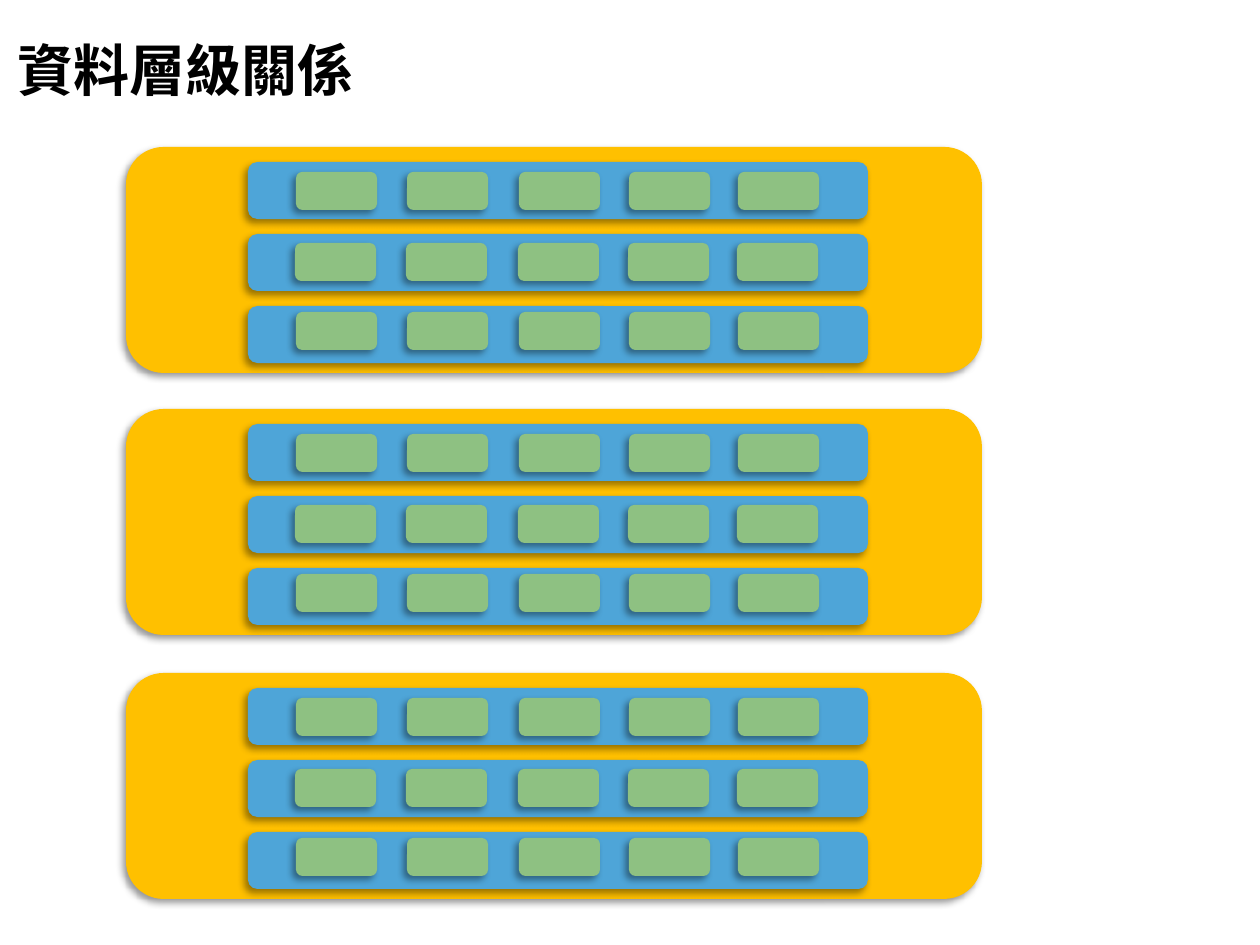
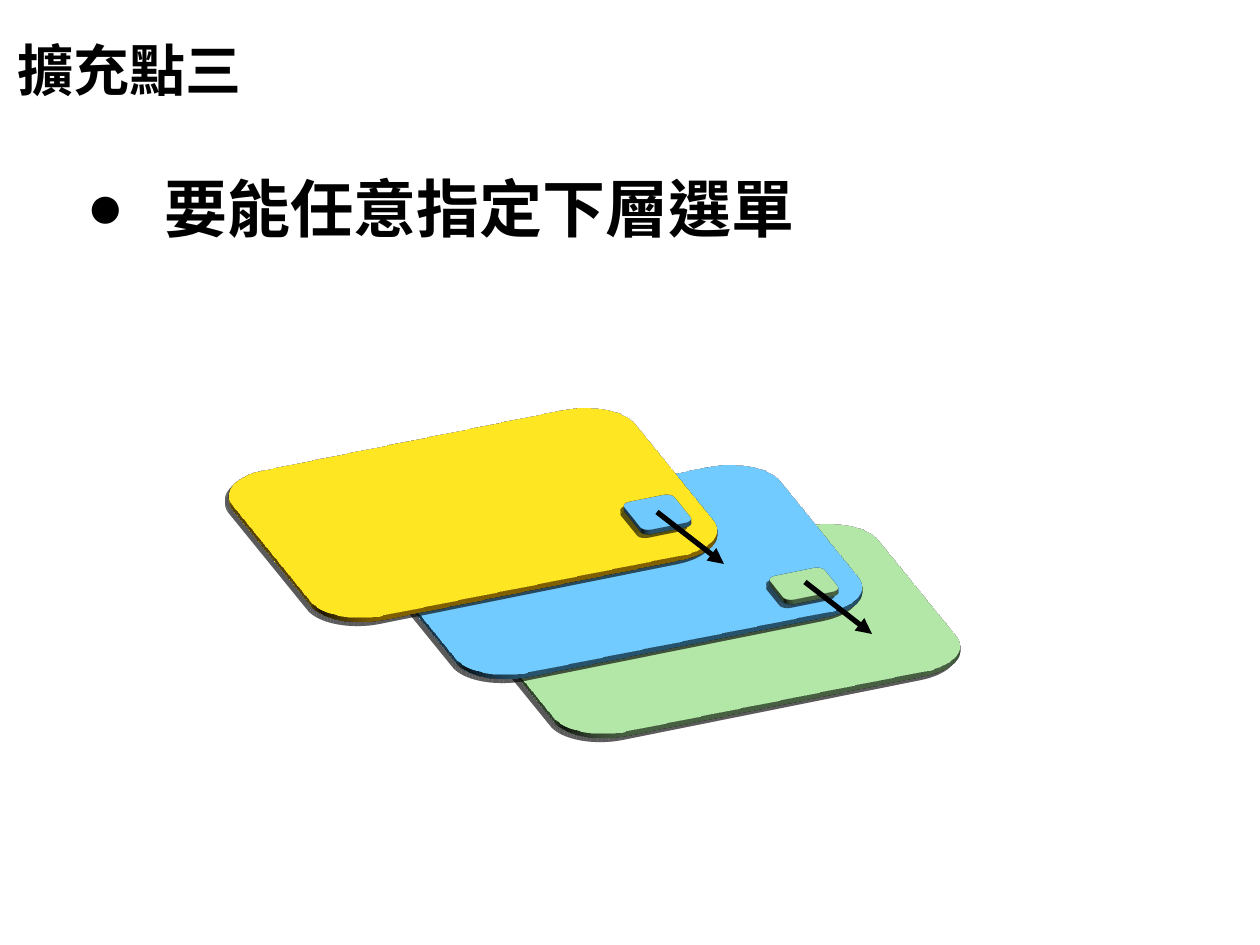
from lxml import etree
from pptx import Presentation
from pptx import util as u
from pptx.dml.color import RGBColor
from pptx.enum import shapes, text
from pptx.oxml.ns import qn

PX = 914400 / 126  # EMU in one px
FONT = "Noto Sans CJK SC"
COLORS = {"text": "000000", "yellow": "FFC000", "blue": "4EA5D8", "green": "8EC182"}


def add_text(slide, box, words, size, anchor, bullet=None):
    frame = slide.shapes.add_textbox(*[u.Emu(round(v * PX)) for v in box]).text_frame
    frame.word_wrap = True
    frame.vertical_anchor = anchor
    paragraph = frame.paragraphs[0]
    paragraph.text = words
    paragraph.line_spacing = 1.5
    font = paragraph.font
    font.name, font.size, font.bold = FONT, u.Pt(size), True
    font.color.rgb = RGBColor.from_string(COLORS["text"])
    properties = paragraph._p.get_or_add_pPr()
    defaults = properties.find(qn("a:defRPr"))
    etree.SubElement(defaults, qn("a:ea"), typeface=FONT)
    paragraph.runs[0]._r.get_or_add_rPr().set("lang", "zh-TW")
    if bullet:
        indent = round(78 * PX)
        properties.set("marL", str(indent))
        properties.set("indent", str(-indent))
        defaults.addprevious(etree.Element(qn("a:buFont"), typeface="Arial"))
        defaults.addprevious(etree.Element(qn("a:buChar"), char=bullet))


def add_block(parent, color, box):
    block = parent.shapes.add_shape(shapes.MSO_SHAPE.ROUNDED_RECTANGLE,
                                    *[u.Emu(round(v * PX)) for v in box])
    block.fill.solid()
    block.fill.fore_color.rgb = RGBColor.from_string(COLORS[color])
    block.line.fill.background()
    block.shadow.inherit = False
    effects = block._element.spPr.find(qn("a:effectLst"))
    outer = etree.SubElement(effects, qn("a:outerShdw"), blurRad="50800",
                             dist="38100", dir="8100000", algn="tr", rotWithShape="0")
    black = etree.SubElement(outer, qn("a:srgbClr"), val="000000")
    etree.SubElement(black, qn("a:alpha"), val="40000")
    return block


presentation = Presentation()
presentation.slide_width, presentation.slide_height = u.Inches(10), u.Inches(7.5)

# Slides with their titles
slides = []
for title in ("資料層級關係", "擴充點三"):
    slide = presentation.slides.add_slide(presentation.slide_layouts[6])
    add_text(slide, (5, 0, 1255, 105), title, 32, text.MSO_ANCHOR.MIDDLE)
    slides.append(slide)
levels, menus = slides

# Three groups, each with three bars of five cells
cell_columns = (296, 407, 519, 629, 738)
cell_rows = ((0, 25), (-1, 96), (0, 165))  # shift across, distance below the group top
for top in (147, 409, 673):
    group = levels.shapes.add_group_shape()
    add_block(group, "yellow", (126, top, 856, 226))
    for row in range(3):
        add_block(group, "blue", (248, top + 15 + 72 * row, 620, 57))
    for shift, drop in cell_rows:
        for left in cell_columns:
            add_block(group, "green", (left + shift, top + drop, 81, 38))

# Menu layers, tilted in space
layers = (
    ("green", 501, 460, 430, 338),
    ("blue", 403, 401, 430, 338),
    ("yellow", 258, 344, 430, 338),
    ("blue", 631, 481, 53, 63),
    ("green", 775, 557, 58, 54),
)
for color, *box in layers:
    properties = add_block(menus, color, box)._element.spPr
    scene = etree.SubElement(properties, qn("a:scene3d"))
    camera = etree.SubElement(scene, qn("a:camera"), prst="orthographicFront")
    etree.SubElement(camera, qn("a:rot"), lat="18222000", lon="19662000", rev="2346000")
    etree.SubElement(scene, qn("a:lightRig"), rig="threePt", dir="t")
    etree.SubElement(properties, qn("a:sp3d"), extrusionH="38100")

# Arrows to the next layer
for left, top in ((657, 512), (805, 582)):
    ends = [u.Emu(round(v * PX)) for v in (left, top, left + 67, top + 52)]
    arrow = menus.shapes.add_connector(shapes.MSO_CONNECTOR.STRAIGHT, *ends)
    arrow.line.width = u.Pt(3)
    arrow.line.color.rgb = RGBColor.from_string(COLORS["text"])
    etree.SubElement(arrow.line._get_or_add_ln(), qn("a:tailEnd"), type="triangle")
    etree.SubElement(arrow._element.spPr, qn("a:effectLst"))

# Key point
add_text(menus, (74, 125, 1115, 659), "要能任意指定下層選單", 36, text.MSO_ANCHOR.TOP, "●")

presentation.save("out.pptx")
